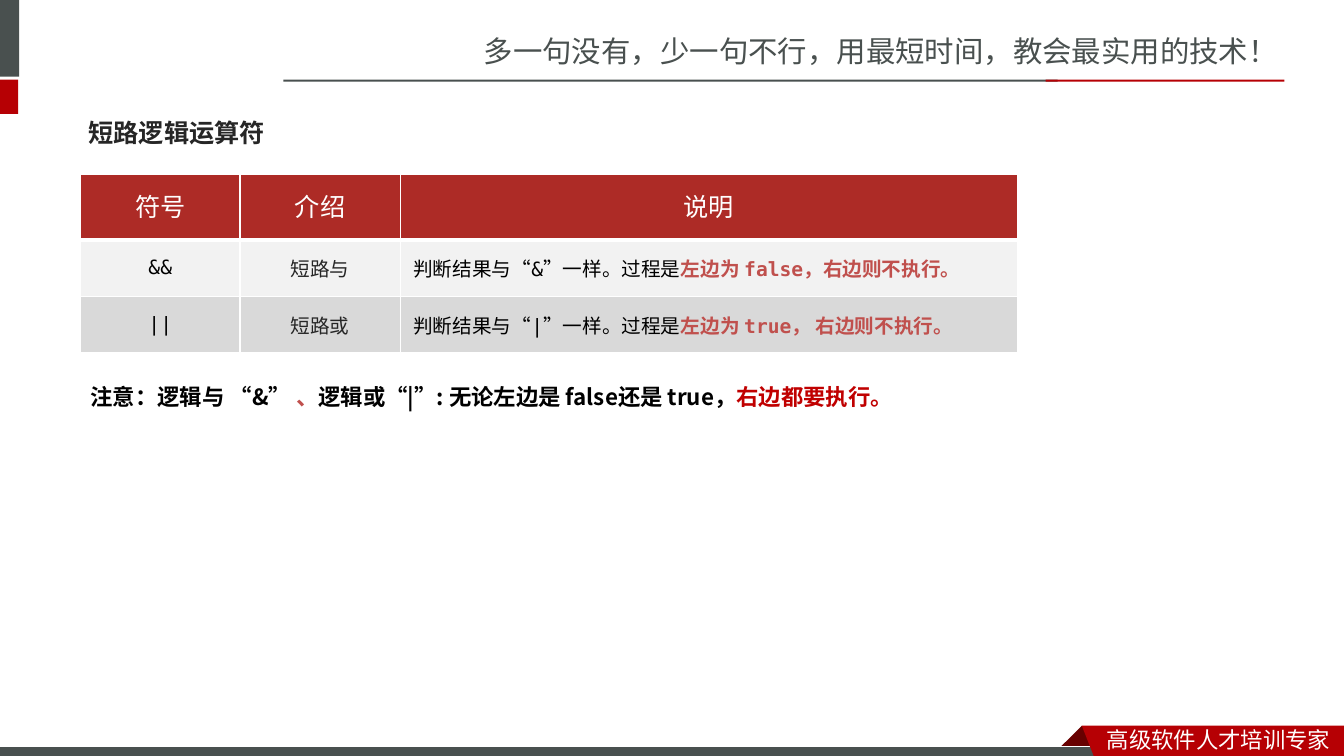
from dataclasses import dataclass

from lxml.etree import SubElement
from pptx import Presentation
from pptx.dml.color import RGBColor
from pptx.enum.shapes import MSO_SHAPE
from pptx.enum.text import MSO_ANCHOR, PP_ALIGN
from pptx.oxml.ns import qn
from pptx.util import Inches, Pt


@dataclass(frozen=True)
class Theme:
    slate: str = "49504F"
    red: str = "B60004"
    dark_red: str = "680000"
    header_red: str = "AD2B26"
    accent: str = "C0504D"
    warning: str = "C00000"
    ink: str = "262626"
    black: str = "000000"
    white: str = "FFFFFF"
    light_row: str = "F2F2F2"
    dark_row: str = "D9D9D9"
    slogan_size: int = 21
    heading_size: int = 18
    note_size: int = 16
    cell_size: int = 14
    brand_font: str = "Noto Sans CJK SC"
    body_font: str = "Noto Sans CJK JP"
    header_font: str = "Lato"
    code_font: str = "DejaVu Sans Mono"


THEME = Theme()


def rgb(color):
    return RGBColor.from_string(color)


def write(paragraph, runs, size, font_name, color, bold=False, asian_font=THEME.body_font):
    font = paragraph.font
    font.size = Pt(size)
    font.bold = bold
    font.name = font_name
    font.color.rgb = rgb(color)
    SubElement(font._rPr, qn("a:ea"), typeface=asian_font)
    for text, run_color, run_bold in runs:
        run = paragraph.add_run()
        run.text = text
        if run_color != color:
            run.font.color.rgb = rgb(run_color)
        if run_bold != bold:
            run.font.bold = run_bold


def add_text(slide, box, runs, size, font_name, bold=False, anchor=MSO_ANCHOR.TOP):
    shape = slide.shapes.add_textbox(*map(Inches, box))
    frame = shape.text_frame
    frame.word_wrap = True
    frame.vertical_anchor = anchor
    paragraph = frame.paragraphs[0]
    runs = [(text, color, bold) for text, color in runs]
    write(paragraph, runs, size, font_name, runs[0][1], bold, font_name)
    return paragraph


def paint(shape, fill, line=None):
    shape.shadow.inherit = False
    shape.fill.solid()
    shape.fill.fore_color.rgb = rgb(fill)
    if line:
        shape.line.color.rgb = rgb(line)
        shape.line.width = Pt(0.75)
    else:
        shape.line.fill.background()


def add_bar(slide, box, fill, line=None):
    bar = slide.shapes.add_shape(MSO_SHAPE.RECTANGLE, *map(Inches, box))
    paint(bar, fill, line)


def add_outline(slide, points, fill):
    points = [(Inches(x), Inches(y)) for x, y in points]
    builder = slide.shapes.build_freeform(*points[0])
    builder.add_line_segments(points[1:], close=True)
    paint(builder.convert_to_shape(), fill)


def set_borders(cell, top, bottom):
    properties = cell._tc.get_or_add_tcPr()
    widths = {"lnL": 1, "lnR": 1, "lnT": top, "lnB": bottom}
    for index, (tag, width) in enumerate(widths.items()):
        line = properties.makeelement(qn(f"a:{tag}"), {"w": str(Pt(width))})
        fill = SubElement(line, qn("a:solidFill"))
        SubElement(fill, qn("a:srgbClr"), val=THEME.white)
        properties.insert(index, line)


def format_cell(cell, fill, margin_x, margin_y, top, bottom):
    cell.fill.solid()
    cell.fill.fore_color.rgb = rgb(fill)
    cell.vertical_anchor = MSO_ANCHOR.MIDDLE
    cell.margin_left = cell.margin_right = Inches(margin_x)
    cell.margin_top = cell.margin_bottom = Inches(margin_y)
    set_borders(cell, top, bottom)


def add_operator_table(slide):
    headers = ["符号", "介绍", "说明"]
    operators = [
        ("&&", "短路与", "判断结果与“&”一样。过程是", "左边为 false，右边则不执行。", THEME.light_row),
        ("||", "短路或", "判断结果与“|”一样。过程是", "左边为 true， 右边则不执行。", THEME.dark_row),
    ]
    widths, heights = [1.58, 1.59, 6.12], [0.65, 0.56, 0.56]
    frame = slide.shapes.add_table(
        len(heights), len(widths), Inches(0.8), Inches(1.73), Inches(sum(widths)), Inches(sum(heights))
    )
    table = frame.table
    table.first_row = table.horz_banding = False
    for column, width in zip(table.columns, widths):
        column.width = Inches(width)
    for row, height in zip(table.rows, heights):
        row.height = Inches(height)

    for index, header in enumerate(headers):
        cell = table.cell(0, index)
        format_cell(cell, THEME.header_red, 0.1, 0.05, 1, 3)
        paragraph = cell.text_frame.paragraphs[0]
        paragraph.alignment = PP_ALIGN.CENTER
        paragraph.line_spacing = Pt(24)
        write(paragraph, [(header, THEME.white, False)], THEME.heading_size, THEME.header_font, THEME.white)

    for row_index, (symbol, name, result, process, fill) in enumerate(operators, 1):
        contents = [
            [(symbol, THEME.black, False)],
            [(name, THEME.ink, False)],
            [(result, THEME.black, False), (process, THEME.accent, True)],
        ]
        for index, runs in enumerate(contents):
            cell = table.cell(row_index, index)
            format_cell(cell, fill, 0.13, 0.07, 3 if row_index == 1 else 1, 1)
            paragraph = cell.text_frame.paragraphs[0]
            paragraph.alignment = PP_ALIGN.CENTER if index < 2 else PP_ALIGN.LEFT
            write(paragraph, runs, THEME.cell_size, THEME.code_font, runs[0][1])


def add_header(slide):
    slogan = "多一句没有，少一句不行，用最短时间，教会最实用的技术！"
    add_text(slide, (4.7, 0.28, 8.63, 0.45), [(slogan, THEME.slate)], THEME.slogan_size, THEME.brand_font)
    add_bar(slide, (0, 0, 0.19, 0.76), THEME.slate)
    add_bar(slide, (0, 0.79, 0.18, 0.34), THEME.red)
    add_bar(slide, (2.81, 0.79, 7.68, 0.02), THEME.slate)
    add_bar(slide, (10.37, 0.79, 2.37, 0.02), THEME.red)


def add_footer(slide):
    fold = [(10.73, 7.2), (10.95, 7.42), (10.94, 7.43), (10.52, 7.43), (10.51, 7.42)]
    ribbon = [(10.73, 7.2), (13.33, 7.2), (13.33, 7.54), (10.86, 7.53)]
    add_outline(slide, fold, THEME.dark_red)
    add_bar(slide, (-0.01, 7.41, 11, 0.12), THEME.slate, THEME.white)
    add_outline(slide, ribbon, THEME.red)
    motto = [("高级软件人才培训专家", THEME.white)]
    add_text(slide, (10.88, 7.15, 2.45, 0.37), motto, THEME.note_size, THEME.brand_font)


def main():
    presentation = Presentation()
    presentation.slide_width = Inches(13.33)
    presentation.slide_height = Inches(7.5)
    slide = presentation.slides.add_slide(presentation.slide_layouts[6])
    add_header(slide)
    add_footer(slide)
    heading = [("短路逻辑运算符", THEME.ink)]
    add_text(slide, (0.78, 1.03, 11.76, 0.57), heading, THEME.heading_size, THEME.body_font, True, MSO_ANCHOR.MIDDLE)
    add_operator_table(slide)
    note = [
        ("注意：逻辑与 “&” ", THEME.black),
        ("、", THEME.accent),
        ("逻辑或“|”: 无论左边是 false还是 true，", THEME.black),
        ("右边都要执行。", THEME.warning),
    ]
    paragraph = add_text(slide, (0.8, 3.62, 11.47, 0.47), note, THEME.note_size, THEME.body_font, True)
    paragraph.line_spacing = 1.5
    presentation.save("out.pptx")


if __name__ == "__main__":
    main()
